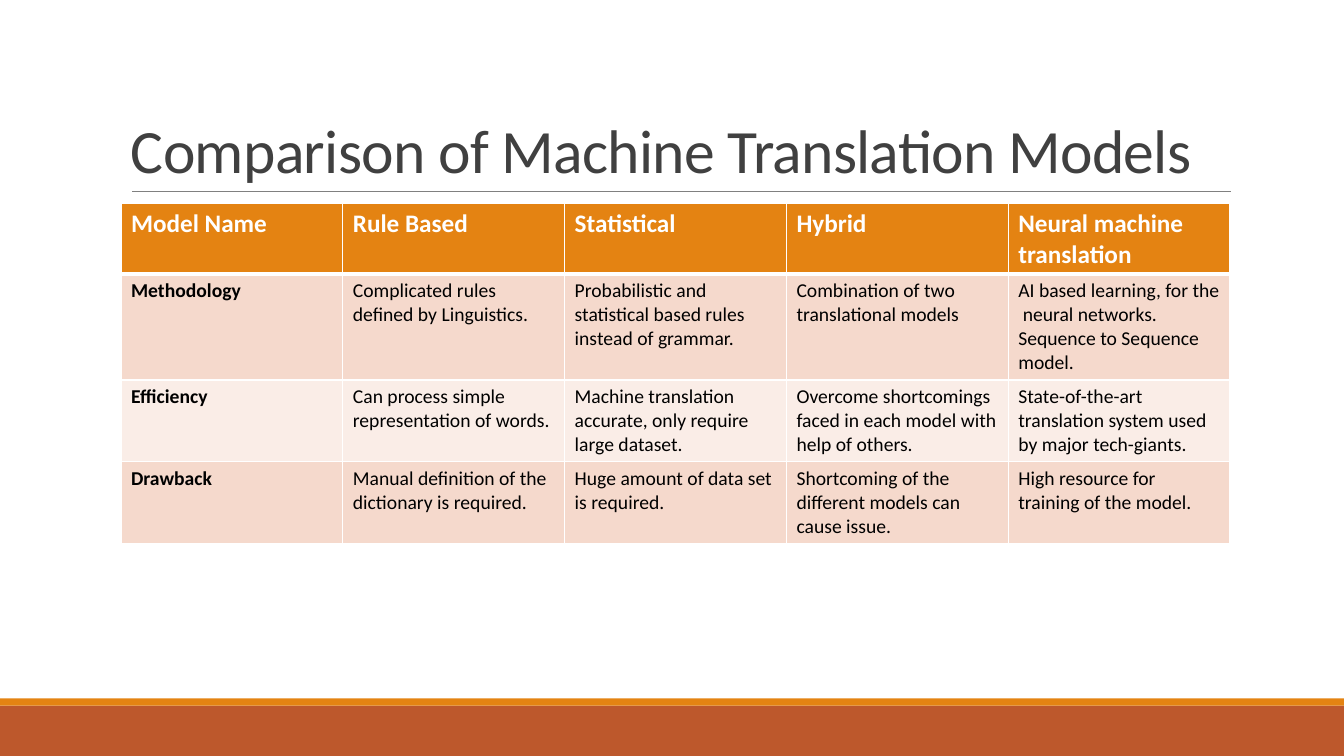
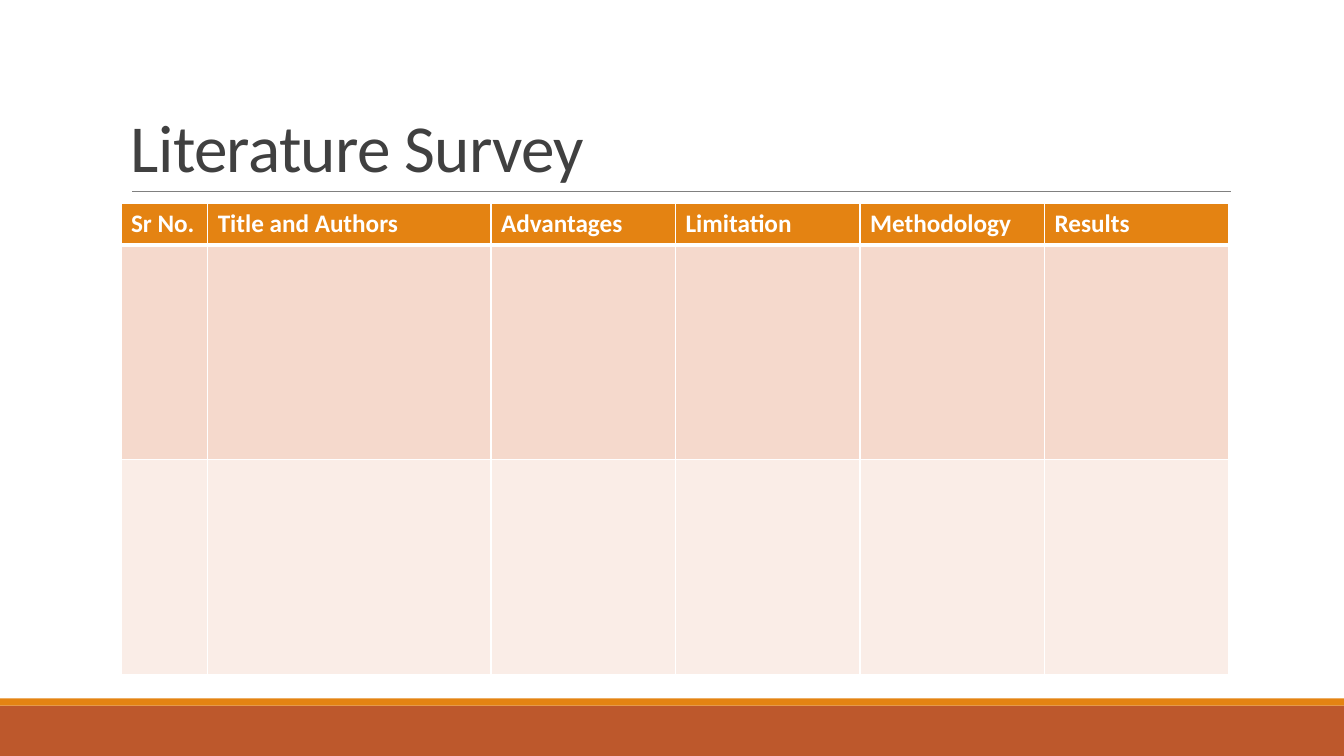
from lxml.etree import SubElement
from pptx import Presentation
from pptx.dml.color import RGBColor
from pptx.enum.shapes import MSO_CONNECTOR, MSO_SHAPE
from pptx.enum.text import MSO_ANCHOR
from pptx.oxml.ns import qn
from pptx.util import Inches, Pt

FONT = "Calibri"
WHITE, BLACK, GREY, INK = "FFFFFF", "000000", "808080", "404040"
ORANGE, RUST = "E48312", "BD582C"
BANDS = ["F5D9CC", "FAEDE7"]
LEFT, WIDTH = 1.2, 11

DECK = [
    {
        "title": "Comparison of Machine Translation Models",
        "size": 44,
        "cols": [WIDTH / 5] * 5,
        "rows": [0.7, 1.05, 0.81, 0.81],
        "cells": [
            ["Model Name", "Rule Based", "Statistical", "Hybrid",
             "Neural machine translation"],
            ["Methodology",
             "Complicated rules defined by Linguistics.",
             "Probabilistic and statistical based rules instead of grammar.",
             "Combination of two translational models",
             "AI based learning, for the  neural networks. "
             "Sequence to Sequence model."],
            ["Efficiency",
             "Can process simple representation of words.",
             "Machine translation accurate, only require large dataset.",
             "Overcome shortcomings faced in each model with help of others.",
             "State-of-the-art translation system used by major tech-giants."],
            ["Drawback",
             "Manual definition of the dictionary is required.",
             "Huge amount of data set is required.",
             "Shortcoming of the different models can cause issue.",
             "High resource for training of the model."],
        ],
    },
    {
        "title": "Literature Survey",
        "size": 48,
        "cols": [0.86, 2.81] + [1.83] * 4,
        "rows": [0.41, 2.13, 2.13],
        "cells": [
            ["Sr No.", "Title and Authors", "Advantages", "Limitation",
             "Methodology", "Results"],
            [""] * 6,
            [""] * 6,
        ],
    },
]


def paint(color, value):
    """Set a fill, line or font colour from a hex string."""
    color.rgb = RGBColor.from_string(value)


def style(para, size, color, bold=False):
    for run in para.runs:
        run.font.name = FONT
        run.font.size = Pt(size)
        run.font.bold = bold
        paint(run.font.color, color)


prs = Presentation()
prs.slide_width, prs.slide_height = Inches(13.33), Inches(7.5)

for page in DECK:
    slide = prs.slides.add_slide(prs.slide_layouts[6])
    shapes = slide.shapes

    # Footer bands and title rule
    for top, height, color in [(7, 0.5, RUST), (6.93, 0.07, ORANGE)]:
        band = shapes.add_shape(MSO_SHAPE.RECTANGLE, 0, Inches(top),
                                prs.slide_width, Inches(height))
        band.shadow.inherit = False
        band.fill.solid()
        paint(band.fill.fore_color, color)
        band.line.fill.background()
    rule = shapes.add_connector(MSO_CONNECTOR.STRAIGHT, Inches(1.31),
                                Inches(1.9), Inches(12.21), Inches(1.9))
    paint(rule.line.color, GREY)
    rule.line.width = Pt(0.5)
    SubElement(rule._element.spPr, qn("a:effectLst"))

    # Title
    title = shapes.add_textbox(Inches(LEFT), Inches(0.31),
                               Inches(WIDTH), Inches(1.59))
    frame = title.text_frame
    frame.word_wrap = True
    frame.vertical_anchor = MSO_ANCHOR.BOTTOM
    frame.text = page["title"]
    para = frame.paragraphs[0]
    para.line_spacing = 0.85
    style(para, page["size"], INK)
    para.runs[0].font._element.set("spc", "-50")

    # Table
    cols, rows = page["cols"], page["rows"]
    table = shapes.add_table(len(rows), len(cols), Inches(LEFT), Inches(2.02),
                             Inches(WIDTH), Inches(sum(rows))).table
    for col, width in zip(table.columns, cols):
        col.width = Inches(width)
    for r, texts in enumerate(page["cells"]):
        table.rows[r].height = Inches(rows[r])
        head = r == 0
        for c, text in enumerate(texts):
            cell = table.cell(r, c)
            props = cell._tc.get_or_add_tcPr()
            for side in "LRTB":
                thick = (r, side) in [(0, "B"), (1, "T")]
                edge = SubElement(props, qn(f"a:ln{side}"),
                                  w=str(Pt(3 if thick else 1)))
                fill = SubElement(edge, qn("a:solidFill"))
                SubElement(fill, qn("a:srgbClr"), val=WHITE)
            cell.fill.solid()
            paint(cell.fill.fore_color, ORANGE if head else BANDS[(r - 1) % 2])
            cell.text_frame.text = text
            style(cell.text_frame.paragraphs[0], 18 if head else 14,
                  WHITE if head else BLACK, head or c == 0)

prs.save("out.pptx")
